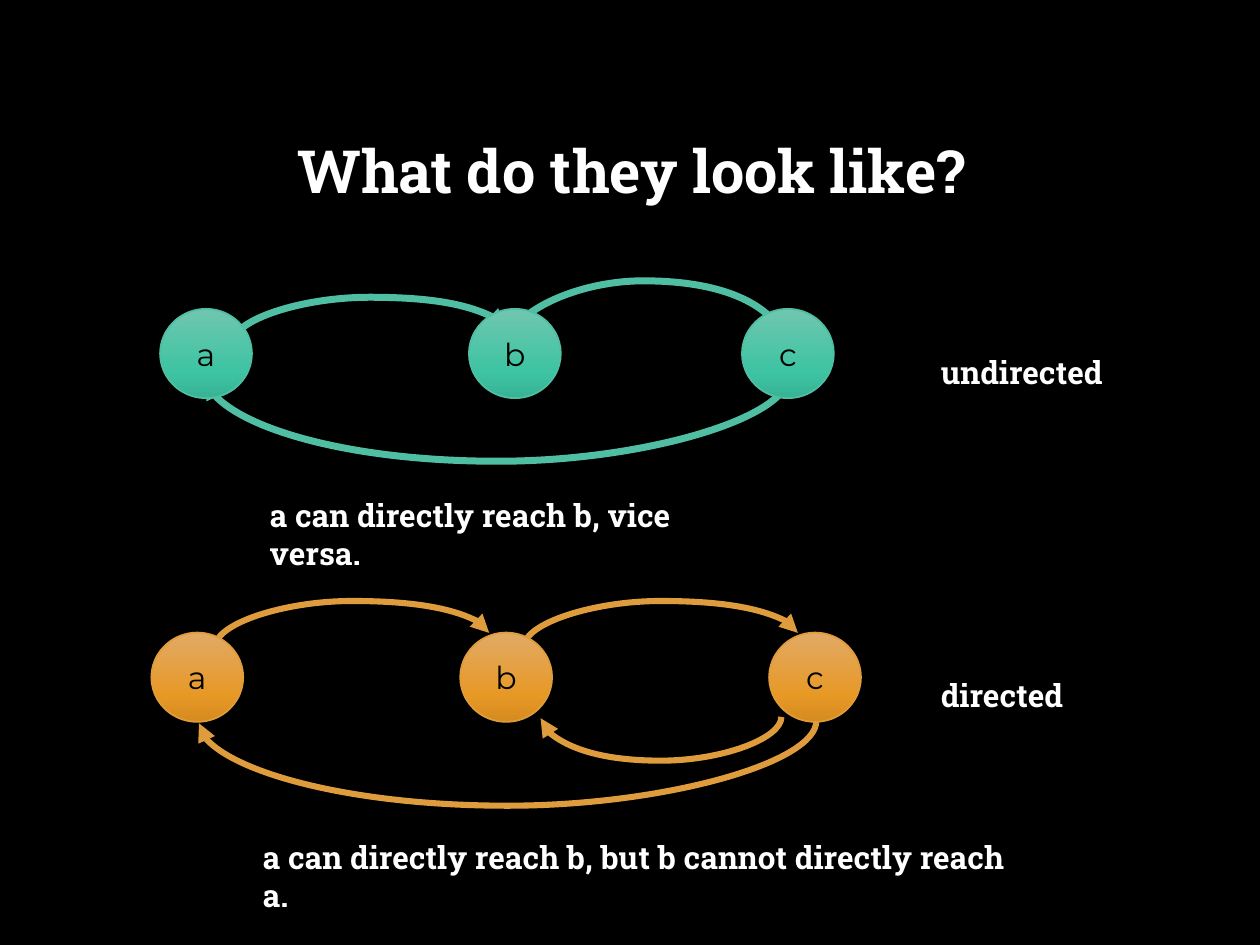
import copy
import pptx
import pptx.util
import pptx.dml.color
import pptx.enum.shapes
import pptx.enum.text
import pptx.oxml

Pt = pptx.util.Pt
RGB = pptx.dml.color.RGBColor
ALIGN = pptx.enum.text.PP_ALIGN
ANCHOR = pptx.enum.text.MSO_ANCHOR
BLACK, WHITE = RGB(0, 0, 0), RGB(255, 255, 255)
GREEN = RGB(0x50, 0xBE, 0xA3)
GREENS = [RGB(0x70, 0xC6, 0xAF), RGB(0x3E, 0xC4, 0xA3), RGB(0x37, 0xB3, 0x95)]
GOLD = RGB(0xDE, 0x9C, 0x3C)
GOLDS = [RGB(0xE2, 0xAA, 0x66), RGB(0xE7, 0x99, 0x26), RGB(0xD6, 0x8B, 0x1F)]
STOPS = [0, 0.69, 1]
NODE_W, NODE_H = 52.5, 51


def style(frame, text, size, font, color, bold):
    frame.text = text
    face = frame.paragraphs[0].runs[0].font
    face.size, face.name, face.bold = Pt(size), font, bold
    face.color.rgb = color


def add_text(slide, box, text, size=18):
    shape = slide.shapes.add_textbox(*map(Pt, box))
    shape.text_frame.word_wrap = True
    style(shape.text_frame, text, size, "Roboto Slab", WHITE, True)
    return shape.text_frame


def add_title(slide, box, text):
    frame = add_text(slide, box, text, 34)
    frame.vertical_anchor = ANCHOR.MIDDLE
    frame.paragraphs[0].alignment = ALIGN.CENTER
    frame.paragraphs[0].line_spacing = 0.9


def add_node(slide, x, y, name, color, shades):
    node = slide.shapes.add_shape(pptx.enum.shapes.MSO_SHAPE.OVAL,
                                  Pt(x), Pt(y), Pt(NODE_W), Pt(NODE_H))
    node.shadow.inherit = False
    node.line.color.rgb, node.line.width = color, Pt(1)
    node.fill.gradient()
    node.fill.gradient_angle = 270
    last = node.fill.gradient_stops[1]._gs
    last.addnext(copy.deepcopy(last))
    for stop, place, shade in zip(node.fill.gradient_stops, STOPS, shades):
        stop.position, stop.color.rgb = place, shade
    frame = node.text_frame
    style(frame, name, 18, "Montserrat", BLACK, False)
    frame.vertical_anchor = ANCHOR.MIDDLE
    frame.paragraphs[0].alignment = ALIGN.CENTER


def add_link(slide, x1, y1, x2, y2, peak, color, width):
    """Arrow that bows up or down to the height peak.

    The connector is laid out sideways, then turned a quarter.
    """
    mid_x, mid_y = (x1 + x2) / 2, (y1 + y2) / 2
    dx, dy = (x2 - x1) / 2, (y2 - y1) / 2
    ends = mid_x - dy, mid_y + dx, mid_x + dy, mid_y - dx
    link = slide.shapes.add_connector(pptx.enum.shapes.MSO_CONNECTOR.CURVE,
                                      *map(Pt, ends))
    link.line.color.rgb, link.line.width = color, Pt(width)
    props = link._element.spPr
    props.xfrm.set("rot", "5400000")
    bend = round((peak - y1) / (y2 - y1) * 100000)
    space = pptx.oxml.ns.nsdecls("a")
    guides = pptx.oxml.parse_xml(
        f'<a:avLst {space}><a:gd name="adj1" fmla="val {bend}"/></a:avLst>')
    shape = props.find(pptx.oxml.ns.qn("a:prstGeom"))
    for old in list(shape):
        shape.remove(old)
    shape.append(guides)
    line = props.find(pptx.oxml.ns.qn("a:ln"))
    line.append(pptx.oxml.parse_xml(f'<a:tailEnd {space} type="triangle"/>'))
    props.append(pptx.oxml.parse_xml(f"<a:effectLst {space}/>"))


def add_graph(slide, box, nodes, links, label, color, shades, width):
    """Draw links, then nodes, then the label at the right of the box."""
    left, top, wide, _ = box
    for x1, y1, x2, y2, peak in links:
        add_link(slide, left + x1, top + y1, left + x2, top + y2,
                 top + peak, color, width)
    for name, x in zip("abc", nodes):
        add_node(slide, left + x, top, name, color, shades)
    add_text(slide, (left + wide - 120, top + 21.5, 120, 29), label)


def main():
    deck = pptx.Presentation()
    deck.slide_width, deck.slide_height = Pt(720), Pt(540)
    slide = deck.slides.add_slide(deck.slide_layouts[6])
    slide.background.fill.solid()
    slide.background.fill.fore_color.rgb = BLACK
    add_title(slide, (55.5, 47.5, 611, 104.5), "What do they look like?")
    add_graph(slide, (91.5, 176.5, 559, NODE_H), [0, 176.5, 332.5],
              [(41.7, 19.3, 198, 12.1, -6.6),
               (198, 22.2, 354.2, 15, -16),
               (359.2, 38, 26.6, 39.5, 87)],
              "undirected", GREEN, GREENS, 4)
    add_graph(slide, (86.5, 361.5, 564, NODE_H), [0, 176.5, 353],
              [(36.6, 7.9, 193, 0.2, -18),
               (213, 7.9, 369.4, 0.2, -18),
               (360, 48.2, 222.4, 49, 73.4),
               (380, 50.4, 27.2, 51.8, 99.3)],
              "directed", GOLD, GOLDS, 3.5)
    add_text(slide, (147, 280, 293, 29), "a can directly reach b, vice versa.")
    add_text(slide, (143, 475.5, 450, 29),
             "a can directly reach b, but b cannot directly reach a.")
    deck.save("out.pptx")


if __name__ == "__main__":
    main()
